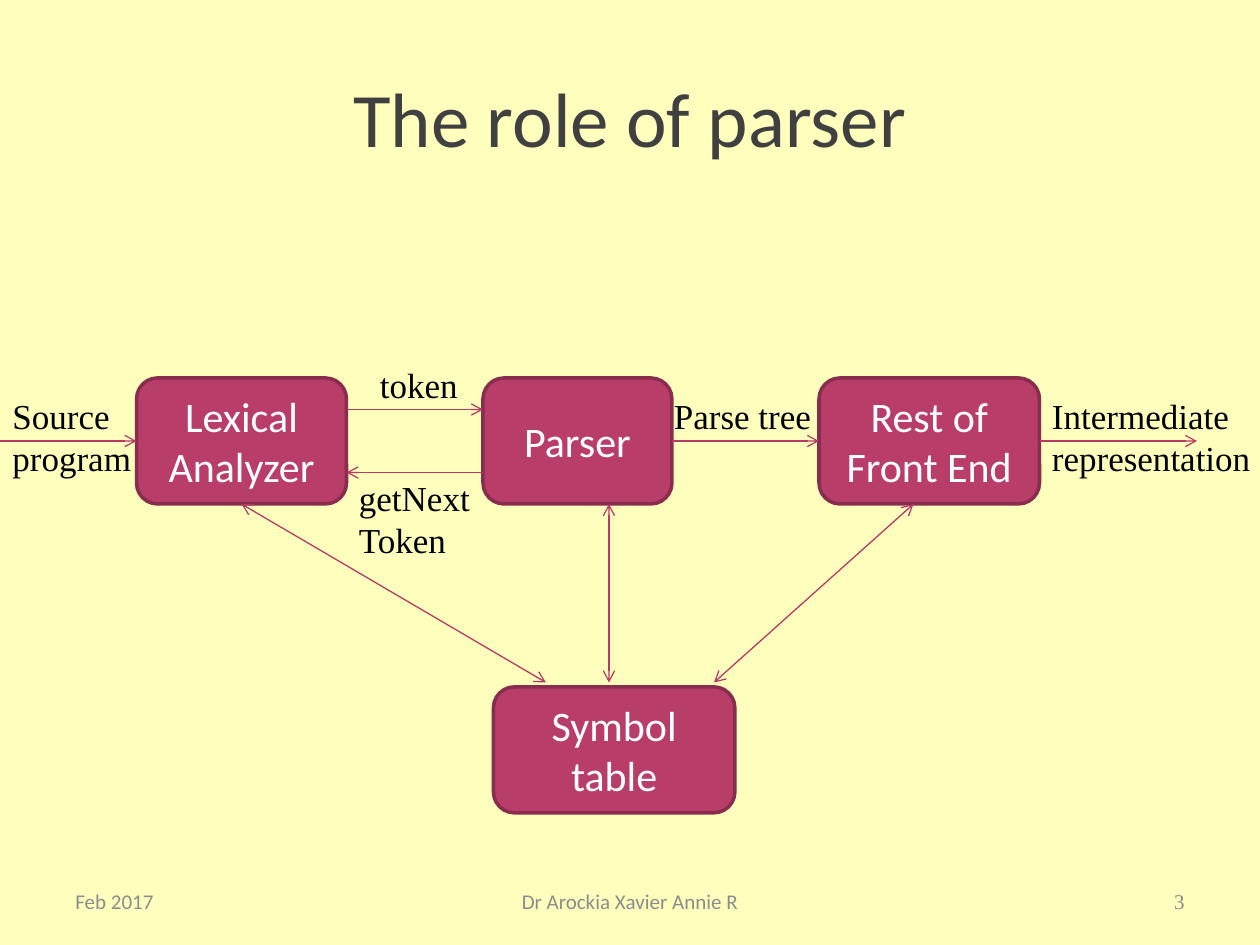
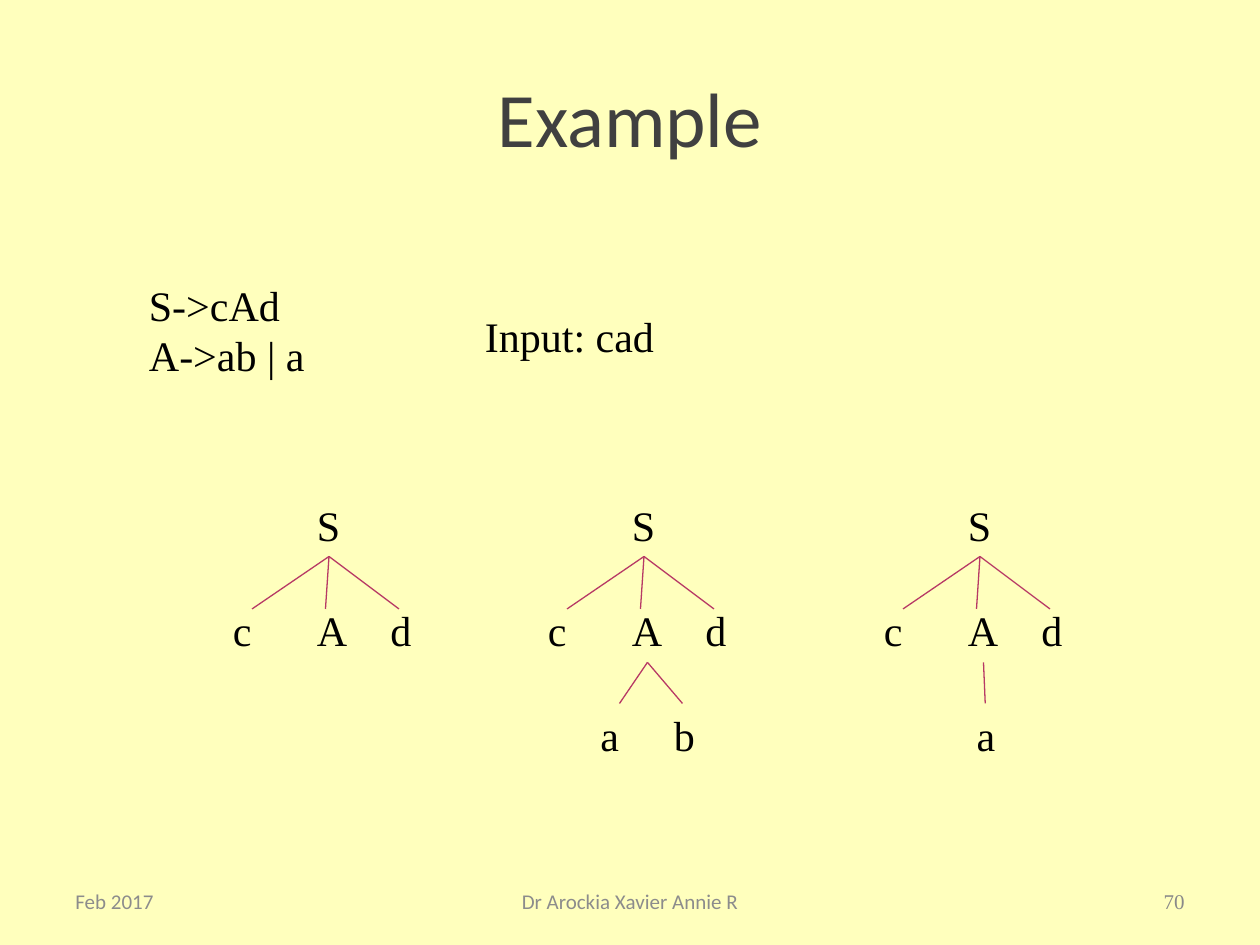
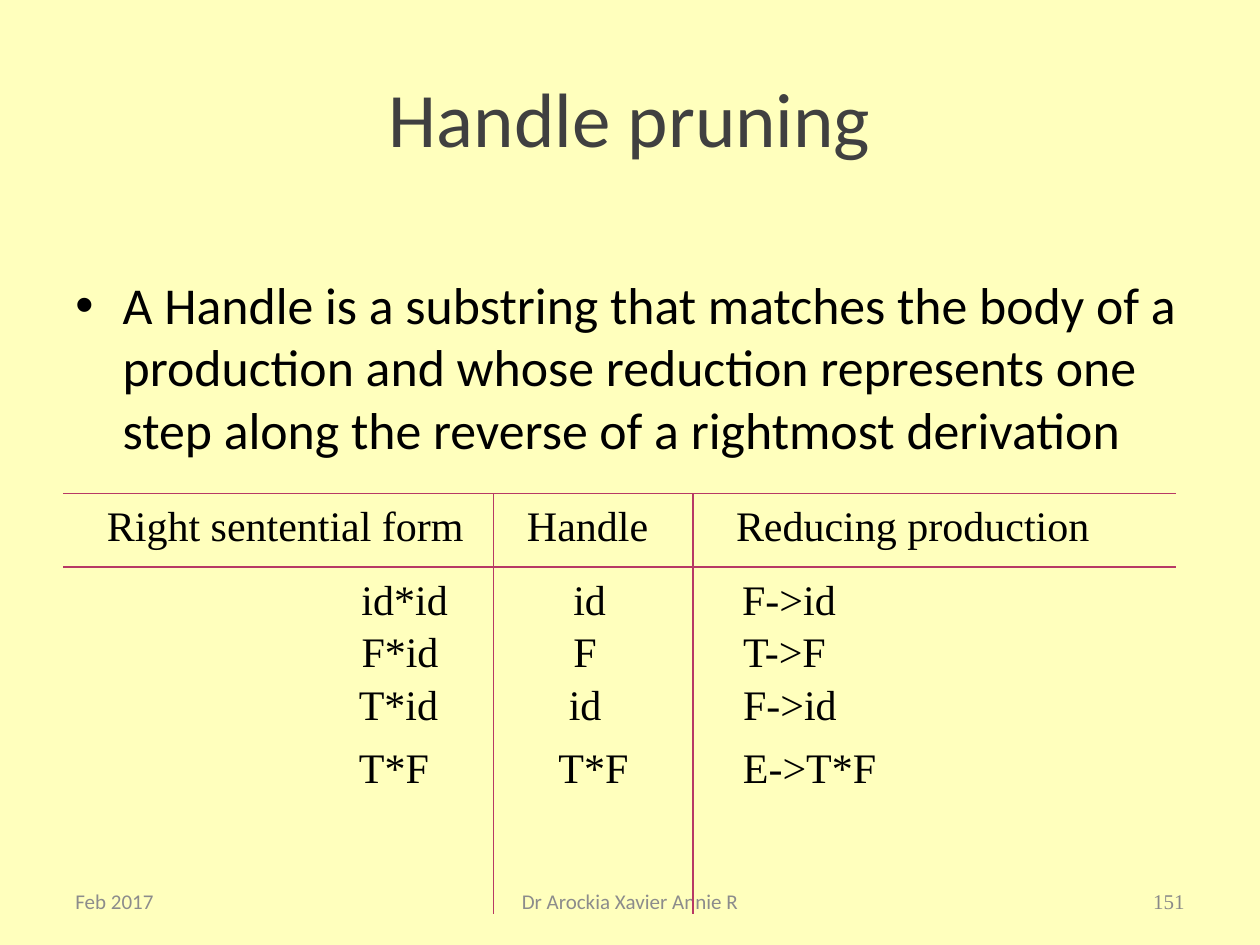
from dataclasses import dataclass

from lxml.etree import SubElement
from pptx import Presentation
from pptx.dml.color import RGBColor
from pptx.enum.shapes import MSO_CONNECTOR, MSO_SHAPE
from pptx.enum.text import MSO_ANCHOR, MSO_AUTO_SIZE, PP_ALIGN
from pptx.oxml.ns import qn
from pptx.util import Pt


@dataclass(frozen=True)
class Theme:
    background: RGBColor = RGBColor.from_string("FFFFBD")
    title: RGBColor = RGBColor.from_string("404040")
    text: RGBColor = RGBColor.from_string("000000")
    footer: RGBColor = RGBColor.from_string("8C8C8C")
    page_number: RGBColor = RGBColor.from_string("898989")
    box_fill: RGBColor = RGBColor.from_string("B83D68")
    box_line: RGBColor = RGBColor.from_string("882D4D")
    box_text: RGBColor = RGBColor.from_string("FFFFFF")
    connector: RGBColor = RGBColor.from_string("B73965")
    sans: str = "Calibri"
    serif: str = "Times New Roman"
    title_size: float = 44
    body_size: float = 29.6
    text_size: float = 24
    label_size: float = 20
    footer_size: float = 12


THEME = Theme()
LETTER_WIDTHS = {"S": 28, "A": 32, "a": 25, "b": 27, "c": 25, "d": 27}


def write_text(shape, text, size, color, font, align=PP_ALIGN.LEFT):
    shape.text_frame.text = text
    for paragraph in shape.text_frame.paragraphs:
        paragraph.alignment = align
        paragraph.font.size = Pt(size)
        paragraph.font.color.rgb = color
        paragraph.font.name = font


def add_text_area(slide, bounds, text, size, color, font,
                  align=PP_ALIGN.LEFT, anchor=MSO_ANCHOR.MIDDLE):
    area = slide.shapes.add_textbox(*map(Pt, bounds))
    area.text_frame.word_wrap = True
    area.text_frame.vertical_anchor = anchor
    write_text(area, text, size, color, font, align)
    return area


def add_label(shapes, left, top, width, text, size=THEME.text_size):
    line_count = text.count("\n") + 1
    height = line_count * size * 1.2 + 7.2
    label = shapes.add_textbox(Pt(left), Pt(top), Pt(width), Pt(height))
    label.text_frame.word_wrap = False
    label.text_frame.auto_size = MSO_AUTO_SIZE.SHAPE_TO_FIT_TEXT
    write_text(label, text, size, THEME.text, THEME.serif)


def add_box(slide, left, top, width, text):
    box = slide.shapes.add_shape(
        MSO_SHAPE.ROUNDED_RECTANGLE, Pt(left), Pt(top), Pt(width), Pt(72))
    box.shadow.inherit = False
    box.fill.solid()
    box.fill.fore_color.rgb = THEME.box_fill
    box.line.color.rgb = THEME.box_line
    box.line.width = Pt(2)
    box.text_frame.word_wrap = True
    box.text_frame.vertical_anchor = MSO_ANCHOR.MIDDLE
    write_text(box, text, THEME.text_size, THEME.box_text, THEME.sans,
               PP_ALIGN.CENTER)


def add_line(shapes, start, end, arrow_ends=()):
    line = shapes.add_connector(
        MSO_CONNECTOR.STRAIGHT, *map(Pt, (*start, *end)))
    line.line.color.rgb = THEME.connector
    line.line.width = Pt(0.75)
    properties = line._element.spPr
    for arrow_end in arrow_ends:
        SubElement(properties.find(qn("a:ln")), qn(f"a:{arrow_end}"), type="arrow")
    SubElement(properties, qn("a:effectLst"))


def add_bullet_text(slide, bounds, text):
    area = add_text_area(slide, bounds, text, THEME.body_size, THEME.text,
                         THEME.sans, anchor=MSO_ANCHOR.TOP)
    properties = area.text_frame.paragraphs[0]._p.get_or_add_pPr()
    properties.set("marL", str(Pt(27)))
    properties.set("indent", str(Pt(-27)))
    bullet_font = properties.makeelement(qn("a:buFont"), {"typeface": "Arial"})
    bullet = properties.makeelement(qn("a:buChar"), {"char": "•"})
    properties.insert(0, bullet_font)
    properties.insert(1, bullet)


def add_slide(presentation, title, page_number):
    slide = presentation.slides.add_slide(presentation.slide_layouts[6])
    add_text_area(slide, (36, 21.6, 648, 90), title, THEME.title_size,
                  THEME.title, THEME.sans, PP_ALIGN.CENTER)
    footers = [
        (36, 168, "Feb 2017", THEME.footer, THEME.sans, PP_ALIGN.LEFT),
        (246, 228, "Dr Arockia Xavier Annie R", THEME.footer, THEME.sans,
         PP_ALIGN.CENTER),
        (516, 168, page_number, THEME.page_number, THEME.serif, PP_ALIGN.RIGHT),
    ]
    for left, width, text, color, font, align in footers:
        add_text_area(slide, (left, 500.4, width, 28.8), text,
                      THEME.footer_size, color, font, align)
    return slide


def add_parse_tree(slide, left, child_apex=16, children=()):
    shapes = slide.shapes.add_group_shape().shapes

    def add_letter(letter, offset, top):
        add_label(shapes, left + offset, top, LETTER_WIDTHS[letter], letter)

    add_letter("S", 0, 282)
    for letter, offset, branch_end in (("c", -48, -30), ("A", 0, 12), ("d", 42, 54)):
        add_line(shapes, (left + 14, 318), (left + branch_end, 348))
        add_letter(letter, offset, 342)
    for letter, offset, branch_end in children:
        add_line(shapes, (left + child_apex, 378.5), (left + branch_end, 402))
        add_letter(letter, offset, 402)


def build_parser_role(presentation):
    slide = add_slide(presentation, "The role of parser", "3")
    boxes = [
        (78, 216, 120, "Lexical Analyzer"),
        (276, 216, 108, "Parser"),
        (468, 216, 126, "Rest of Front End"),
        (282, 392.5, 138, "Symbol\ntable"),
    ]
    for box in boxes:
        add_box(slide, *box)
    flows = [
        ((-12, 252), (78, 252)),
        ((198, 234), (276, 234)),
        ((276, 270), (198, 270)),
        ((384, 252), (468, 252)),
        ((594, 252), (684, 252)),
    ]
    for start, end in flows:
        add_line(slide.shapes, start, end, ["tailEnd"])
    for box_x, table_x in ((138, 312), (348, 348), (522, 408)):
        add_line(slide.shapes, (box_x, 288), (table_x, 390),
                 ["headEnd", "tailEnd"])
    labels = [
        (0, 222, 82.5, "Source\nprogram"),
        (210, 204, 59, "token"),
        (198, 268.5, 78.5, "getNext\nToken"),
        (378, 222, 93.5, "Parse tree"),
        (594, 222, 129, "Intermediate\nrepresentation"),
    ]
    for label in labels:
        add_label(slide.shapes, *label, size=THEME.label_size)


def build_example(presentation):
    slide = add_slide(presentation, "Example", "70")
    add_label(slide.shapes, 78, 156, 104.5, "S->cAd\nA->ab | a")
    add_label(slide.shapes, 270, 174, 112.5, "Input: cad")
    add_parse_tree(slide, 174)
    add_parse_tree(slide, 354, children=[("a", -18, 0), ("b", 24, 36)])
    add_parse_tree(slide, 546, children=[("a", 5, 17)])


def build_handle_pruning(presentation):
    slide = add_slide(presentation, "Handle pruning", "151")
    add_bullet_text(
        slide, (36, 152.5, 648, 124),
        "A Handle is a substring that matches the body of a production and "
        "whose reduction represents one step along the reverse of a "
        "rightmost derivation")
    for y in (282, 324):
        add_line(slide.shapes, (36, y), (672, y))
    for x in (282, 396):
        add_line(slide.shapes, (x, 282), (x, 522))
    rows = [
        (282, [(54, 220.5, "Right sentential form"), (294, 84, "Handle"),
               (413.5, 218, "Reducing production")]),
        (324, [(199.5, 64, "id*id"), (320.5, 33, "id"), (417, 68.5, "F->id")]),
        (354, [(199.5, 59, "F*id"), (320.5, 28, "F"), (417.5, 62.5, "T->F")]),
        (384, [(198, 60.5, "T*id"), (318, 33, "id"), (417.5, 68.5, "F->id")]),
        (420, [(198, 54.5, "T*F"), (312, 54.5, "T*F"), (417.5, 91.5, "E->T*F")]),
    ]
    for top, cells in rows:
        for left, width, text in cells:
            add_label(slide.shapes, left, top, width, text)


def main():
    presentation = Presentation()
    presentation.slide_width = Pt(720)
    presentation.slide_height = Pt(540)
    background = presentation.slide_master.background.fill
    background.solid()
    background.fore_color.rgb = THEME.background
    build_parser_role(presentation)
    build_example(presentation)
    build_handle_pruning(presentation)
    presentation.save("out.pptx")


if __name__ == "__main__":
    main()
